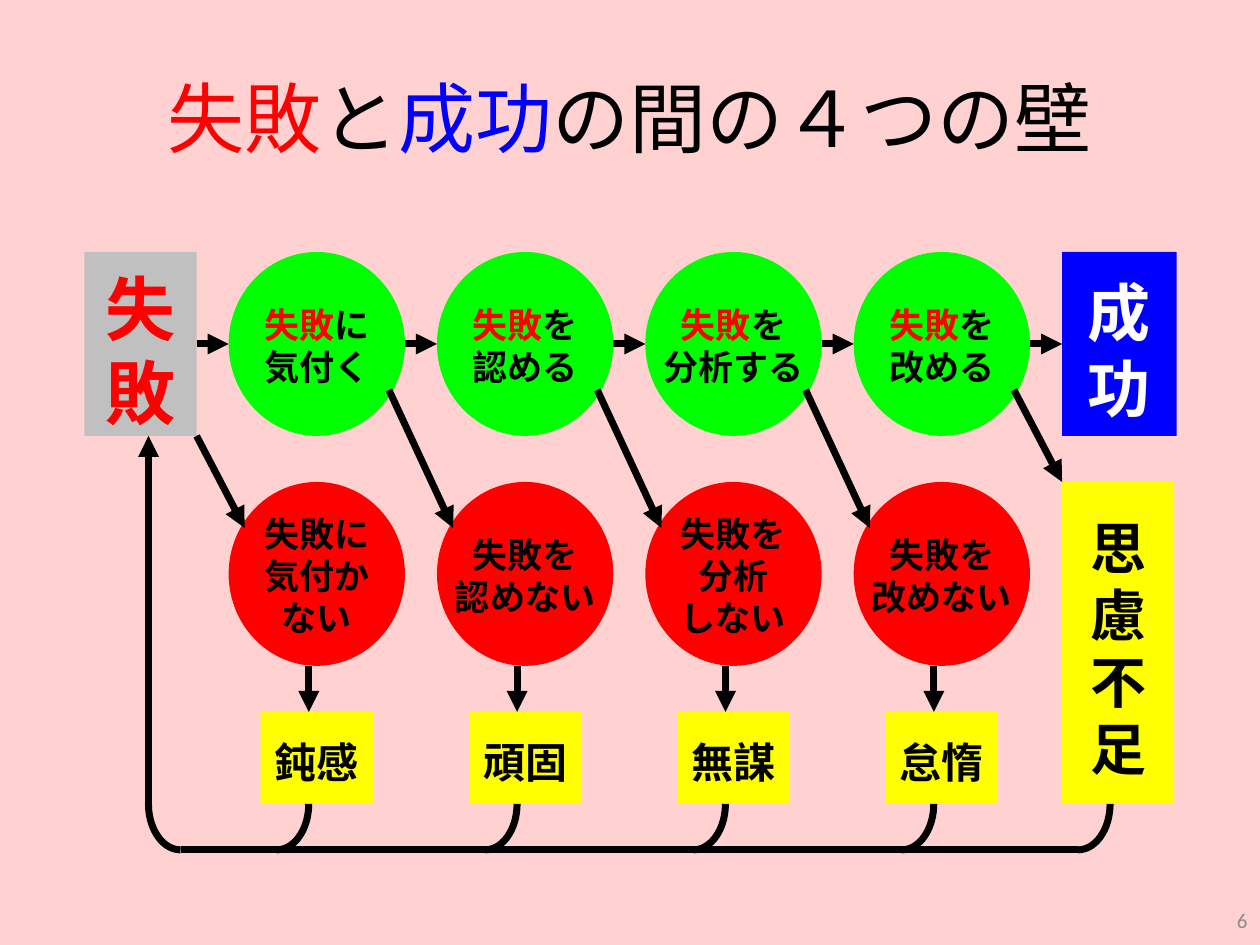
import math

from lxml import etree
from pptx import Presentation
from pptx import util as u
from pptx.dml.color import RGBColor
from pptx.enum import shapes, text
from pptx.oxml.ns import qn

COL, ROW, LEFT, TOP = 0.1272, 0.365, 0.67, 2
PITCH = 13
JP = "Noto Sans CJK JP"
BLACK, RED, BLUE, WHITE = "000000", "FF0000", "0000FF", "FFFFFF"
GREEN, YELLOW, GREY, PINK = "00FF00", "FFFF00", "C0C0C0", "FFD1D1"


def color(hex_code):
    return RGBColor.from_string(hex_code)


def point(col, row):
    return u.Inches(LEFT + col * COL), u.Inches(TOP + row * ROW)


def area(col, row, cols, rows):
    return (*point(col, row), u.Inches(cols * COL), u.Inches(rows * ROW))


def write(sp, lines, size=20, ink=BLACK, font=JP, bold=True,
          align=text.PP_ALIGN.CENTER, tight=True):
    tf = sp.text_frame
    tf.word_wrap = True
    tf.vertical_anchor = text.MSO_ANCHOR.MIDDLE
    if tight:
        tf.margin_left = tf.margin_right = tf.margin_bottom = 0
        tf.margin_top = u.Pt(size * 0.17)
    for i, line in enumerate(lines):
        p = tf.add_paragraph() if i else tf.paragraphs[0]
        p.alignment = align
        if tight:
            p.line_spacing = u.Pt(size * 1.2)
        runs = [(line, ink)] if isinstance(line, str) else line
        for words, run_ink in runs:
            r = p.add_run()
            r.text = words
            r.font.size = u.Pt(size)
            r.font.bold = bold
            r.font.name = font
            r.font.color.rgb = color(run_ink)
            etree.SubElement(r.font._element, qn("a:ea"), typeface=JP)


def block(parent, kind, box, fill):
    sp = parent.shapes.add_shape(kind, *box)
    sp.shadow.inherit = False
    sp.fill.solid()
    sp.fill.fore_color.rgb = color(fill)
    sp.line.fill.background()
    return sp


def rect(s, box, fill, lines, **style):
    write(block(s, shapes.MSO_SHAPE.RECTANGLE, box, fill), lines, **style)


def stroke(line):
    line.width = u.Pt(4)
    line.color.rgb = color(BLACK)


def link(s, start, end, arrow=True):
    c = s.shapes.add_connector(
        shapes.MSO_CONNECTOR.STRAIGHT, *point(*start), *point(*end))
    stroke(c.line)
    if arrow:
        etree.SubElement(c.line._get_or_add_ln(), qn("a:tailEnd"), type="triangle")
    etree.SubElement(c._element.spPr, qn("a:effectLst"))


def corner(s, col, row, side):
    angles = [math.radians(a) for a in range(0, 91, 5)]
    points = [point(col + side * 2 * math.sin(a), row + math.cos(a)) for a in angles]
    fb = s.shapes.build_freeform(*points[0])
    fb.add_line_segments(points[1:], close=False)
    sp = fb.convert_to_shape()
    sp.shadow.inherit = False
    sp.fill.background()
    stroke(sp.line)


def circle(s, col, row, fill, lines):
    group = s.shapes.add_group_shape()
    block(group, shapes.MSO_SHAPE.OVAL, area(col, row, 11, 4), fill)
    height = len(lines) * 0.92
    label = group.shapes.add_textbox(
        *area(col + 0.95, row + 1.96 - height / 2, 9.1, height))
    write(label, lines)


def heading(s, prs):
    w, h = prs.slide_width, prs.slide_height
    title = s.shapes.title
    title.left, title.top = int(w * 0.05), int(h * 0.04)
    title.width, title.height = int(w * 0.9), int(h / 6)
    write(title, [[("失敗", RED), ("と", BLACK), ("成功", BLUE),
                   ("の間の４つの壁", BLACK)]],
          size=44, font="Calibri", bold=False, tight=False)


def page_number(s, prs):
    w, h = prs.slide_width, prs.slide_height
    sp = s.shapes.add_textbox(
        int(w * 0.767), int(h * 0.947), int(w * 0.233), int(h * 0.053))
    write(sp, ["6"], size=12, ink="8C8C8C", font="Calibri", bold=False,
          align=text.PP_ALIGN.RIGHT, tight=False)


def wall(s, col, passed, failed, trait):
    particle, action = passed
    circle(s, col, 0, GREEN, [[("失敗", RED), (particle, BLACK)], action])
    circle(s, col, 5, RED, failed)
    rect(s, area(col + 2, 10, 7, 2), YELLOW, [trait], size=24)
    link(s, (col + 11, 2), (col + PITCH, 2))
    link(s, (col + 5, 9), (col + 5, 10))
    corner(s, col + 3, 12, 1)


def end_points(s, last):
    rect(s, area(0, 0, 7, 4), GREY, "失敗", size=40, ink=RED)
    rect(s, area(last, 0, 7.15, 4), BLUE, "成功", size=36, ink=WHITE)
    rect(s, area(last, 5, 7, 7), YELLOW, "思慮不足", size=32)
    link(s, (7, 2), (9, 2))


def missteps(s, first, last):
    link(s, (7, 4), (first + 1, 6))
    for col in range(first, last - PITCH, PITCH):
        link(s, (col + 10, 3), (col + PITCH + 1, 6))
    link(s, (last - 3, 3), (last, 5))


def return_path(s, first, last):
    corner(s, 6, 12, -1)
    corner(s, last + 1, 12, 1)
    stops = [6, *range(first + 3, last, PITCH), last + 1]
    for a, b in zip(stops, stops[1:]):
        link(s, (a, 13), (b, 13), arrow=False)
    link(s, (4, 12), (4, 4))


def main():
    prs = Presentation()
    prs.slide_width, prs.slide_height = u.Inches(10), u.Inches(7.5)
    s = prs.slides.add_slide(prs.slide_layouts[5])
    s.background.fill.solid()
    s.background.fill.fore_color.rgb = color(PINK)
    walls = [
        (("に", "気付く"), ["失敗に", "気付か", "ない"], "鈍感"),
        (("を", "認める"), ["失敗を", "認めない"], "頑固"),
        (("を", "分析する"), ["失敗を", "分析", "しない"], "無謀"),
        (("を", "改める"), ["失敗を", "改めない"], "怠惰"),
    ]
    first = 9
    last = first + PITCH * len(walls)
    heading(s, prs)
    page_number(s, prs)
    end_points(s, last)
    for i, parts in enumerate(walls):
        wall(s, first + PITCH * i, *parts)
    missteps(s, first, last)
    return_path(s, first, last)
    prs.save("out.pptx")


if __name__ == "__main__":
    main()
